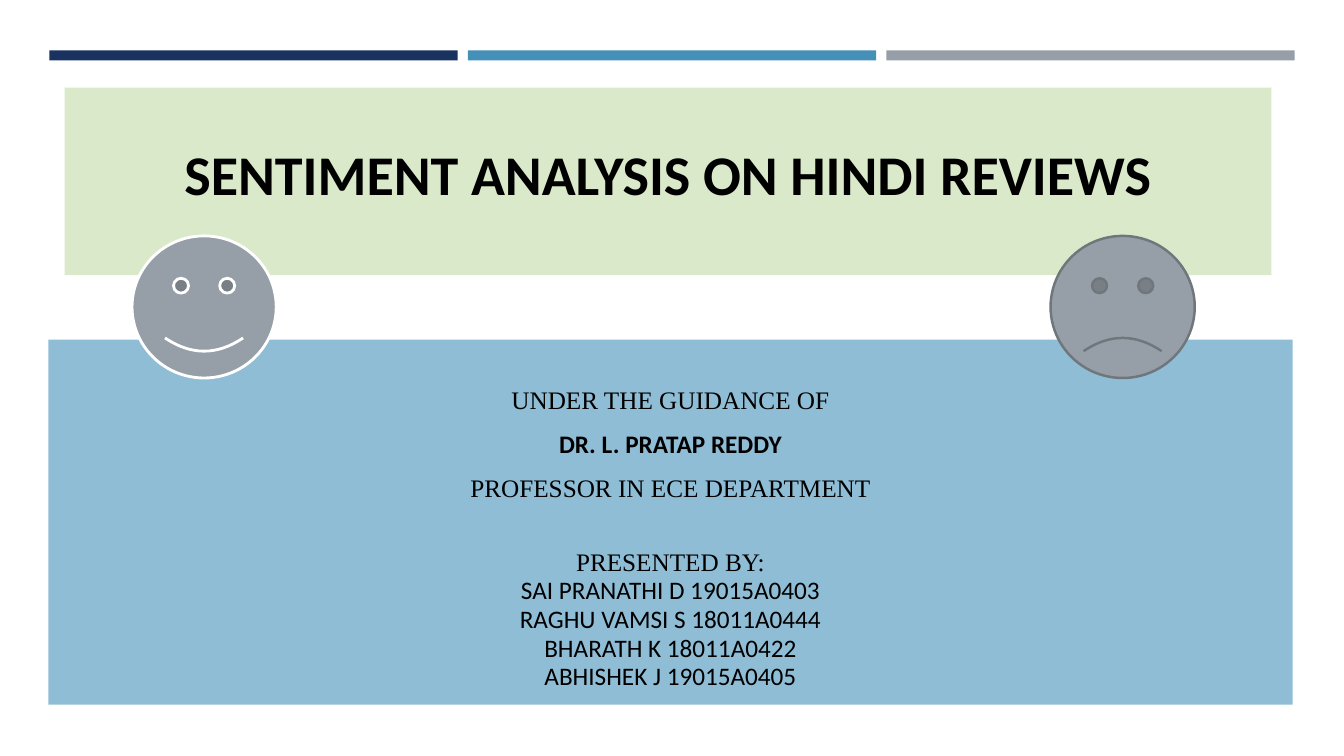
from pptx import Presentation
from pptx.dml.color import RGBColor
from pptx.enum.shapes import MSO_SHAPE as Shape
from pptx.enum.text import MSO_ANCHOR as Anchor, PP_ALIGN as Align
from pptx.util import Inches, Pt

SANS = "Calibri"
SERIF = "Times New Roman"
BLACK = "000000"
GREY = "969FA7"
CREDITS = [
    ("UNDER THE GUIDANCE OF", SERIF, False, 0),
    ("DR. L. PRATAP REDDY", SANS, True, 11),
    ("PROFESSOR IN ECE DEPARTMENT", SERIF, False, 11),
    ("PRESENTED BY:", SERIF, False, 32.5),
    ("SAI PRANATHI D 19015A0403", SANS, False, 0),
    ("RAGHU VAMSI S 18011A0444", SANS, False, 0),
    ("BHARATH K 18011A0422", SANS, False, 0),
    ("ABHISHEK J 19015A0405", SANS, False, 0),
]


def color(value):
    return RGBColor.from_string(value)


def add_filled(slide, kind, box, fill):
    shape = slide.shapes.add_shape(kind, *map(Inches, box))
    shape.shadow.inherit = False
    shape.fill.solid()
    shape.fill.fore_color.rgb = color(fill)
    shape.line.fill.background()
    return shape


def format_line(paragraph, font_name, size, bold):
    paragraph.alignment = Align.CENTER
    font = paragraph.runs[0].font
    font.name = font_name
    font.size = Pt(size)
    font.bold = bold
    font.color.rgb = color(BLACK)


def add_top_bars(slide, box, fills, gap=0.1):
    left, top, width, height = box
    bar_width = (width - gap * (len(fills) - 1)) / len(fills)
    for index, fill in enumerate(fills):
        bar_left = left + index * (bar_width + gap)
        add_filled(slide, Shape.RECTANGLE, (bar_left, top, bar_width, height), fill)


def add_title(slide, box, text):
    frame = add_filled(slide, Shape.RECTANGLE, box, "DAE9C9").text_frame
    frame.word_wrap = True
    frame.vertical_anchor = Anchor.MIDDLE
    frame.margin_bottom = Inches(0.21)
    frame.text = text
    format_line(frame.paragraphs[0], SANS, 40, True)


def add_credits(slide, box, credits):
    frame = add_filled(slide, Shape.RECTANGLE, box, "8FBDD5").text_frame
    frame.word_wrap = True
    frame.vertical_anchor = Anchor.TOP
    frame.margin_top = Inches(0.46)
    frame.text = "\n".join(text for text, *_ in credits)
    for paragraph, (_, font_name, bold, space) in zip(frame.paragraphs, credits):
        format_line(paragraph, font_name, 18, bold)
        paragraph.line_spacing = Pt(20.4)
        paragraph.space_before = Pt(space)


def add_face(slide, box, outline, weight, smile):
    face = add_filled(slide, Shape.SMILEY_FACE, box, GREY)
    face.adjustments[0] = smile
    face.line.color.rgb = color(outline)
    face.line.width = Pt(weight)


def build_title_slide(deck):
    slide = deck.slides.add_slide(deck.slide_layouts[6])
    add_top_bars(slide, (0.49, 0.5, 12.35, 0.1), ["1A3260", "4590B8", GREY])
    add_title(slide, (0.64, 0.87, 11.97, 1.86), "SENTIMENT ANALYSIS ON HINDI REVIEWS")
    add_credits(slide, (0.48, 3.37, 12.34, 3.62), CREDITS)
    add_face(slide, (1.31, 2.34, 1.43, 1.41), "FFFFFF", 2, 0.047)
    add_face(slide, (10.42, 2.34, 1.43, 1.41), "6F767C", 1.75, -0.047)


def main():
    deck = Presentation()
    deck.slide_width = Inches(13.33)
    deck.slide_height = Inches(7.5)
    build_title_slide(deck)
    deck.save("out.pptx")


if __name__ == "__main__":
    main()
